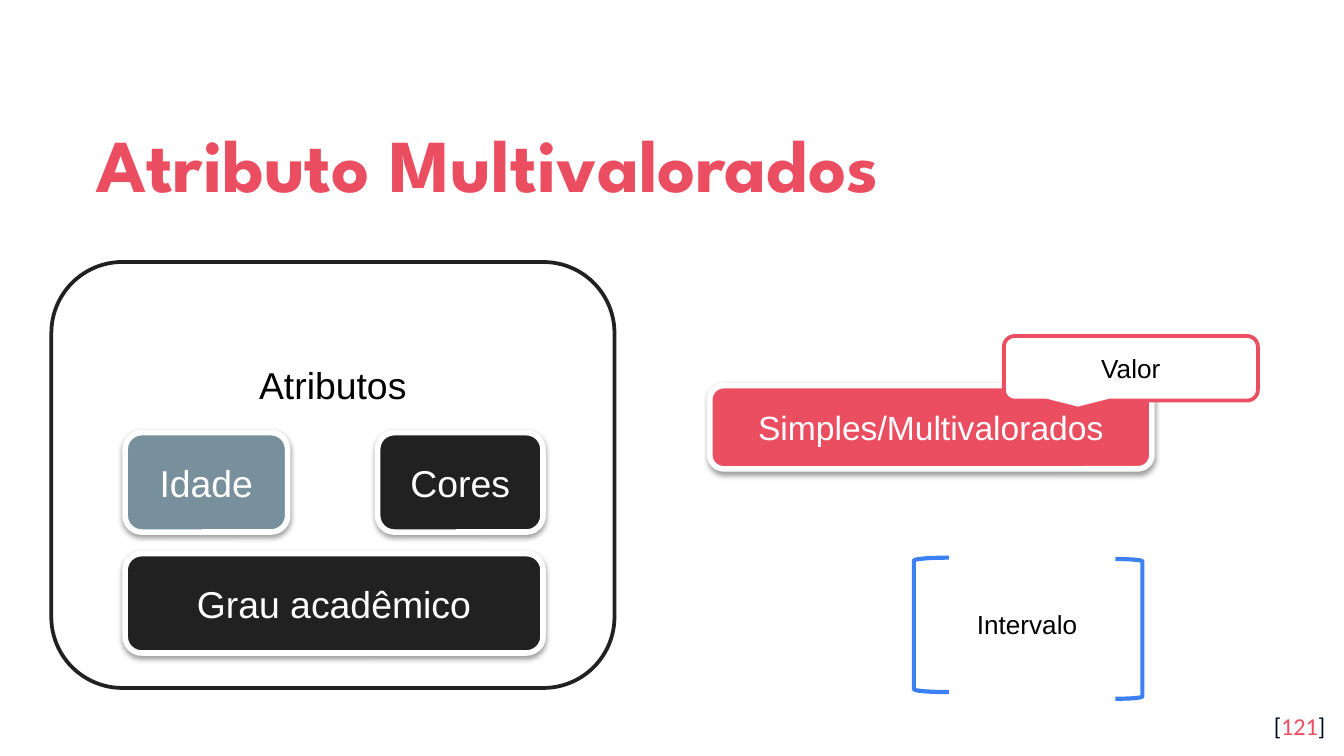
from lxml.etree import SubElement
from pptx import Presentation
from pptx.dml.color import RGBColor
from pptx.enum.shapes import MSO_SHAPE as Preset
from pptx.enum.text import MSO_ANCHOR as Anchor, PP_ALIGN as Align
from pptx.oxml.ns import qn
from pptx.util import Pt

WHITE = RGBColor(0xFF, 0xFF, 0xFF)
BLACK = RGBColor(0x00, 0x00, 0x00)
CHARCOAL = RGBColor(0x21, 0x21, 0x21)
CORAL = RGBColor(0xEA, 0x4E, 0x60)
SLATE = RGBColor(0x78, 0x90, 0x9C)
BLUE = RGBColor(0x3C, 0x81, 0xF3)
NAVY = RGBColor(0x04, 0x0A, 0x24)


def write(frame, *runs, size=14, font="Arial", color=BLACK, bold=False,
          align=Align.CENTER, anchor=Anchor.MIDDLE, spacing=1.0,
          insets=(7.2, 3.6, 7.2, 3.6)):
    frame.word_wrap = True
    frame.vertical_anchor = anchor
    (frame.margin_left, frame.margin_top,
     frame.margin_right, frame.margin_bottom) = map(Pt, insets)
    paragraph = frame.paragraphs[0]
    paragraph.alignment = align
    paragraph.line_spacing = spacing
    for item in runs:
        text, run_color = item if isinstance(item, tuple) else (item, color)
        run = paragraph.add_run()
        run.text = text
        run.font.name = font
        run.font.size = Pt(size)
        run.font.bold = bold
        run.font.color.rgb = run_color


class SlideBuilder:
    def __init__(self, slide):
        self.slide = slide

    def text(self, box, *runs, **style):
        shape = self.slide.shapes.add_textbox(*map(Pt, box))
        write(shape.text_frame, *runs, **style)
        return shape

    def shape(self, preset, box, line, width, fill=None):
        shape = self.slide.shapes.add_shape(preset, *map(Pt, box))
        shape.shadow.inherit = False
        if fill is None:
            shape.fill.background()
        else:
            shape.fill.solid()
            shape.fill.fore_color.rgb = fill
        shape.line.color.rgb = line
        shape.line.width = Pt(width)
        return shape

    def panel(self, box, line, text, preset=Preset.ROUNDED_RECTANGLE, **style):
        shape = self.shape(preset, box, line, 2, WHITE)
        write(shape.text_frame, text, **style)
        return shape

    def card(self, box, fill, text, size=20):
        shape = self.shape(Preset.ROUNDED_RECTANGLE, box, WHITE, 3, fill)
        effects = shape._element.spPr.find(qn("a:effectLst"))
        shadow = SubElement(effects, qn("a:outerShdw"), blurRad=str(Pt(3.1)),
                            dist=str(Pt(1.6)), dir="5400000", rotWithShape="0")
        color = SubElement(shadow, qn("a:srgbClr"), val="000000")
        SubElement(color, qn("a:alpha"), val="38000")
        write(shape.text_frame, text, size=size, color=WHITE)
        return shape

    def bracket(self, preset, box):
        return self.shape(preset, box, BLUE, 2.25)

    def group(self, *shapes):
        return self.slide.shapes.add_group_shape(shapes)


def main():
    presentation = Presentation()
    presentation.slide_width = Pt(720)
    presentation.slide_height = Pt(405)
    builder = SlideBuilder(presentation.slides.add_slide(presentation.slide_layouts[6]))

    wide_insets = (7.2,) * 4
    builder.text((44.6, 50.4, 631.4, 66.2), "Atributo Multivalorados", size=40,
                 font="League Spartan", color=CORAL, bold=True, align=Align.LEFT,
                 spacing=1.15, insets=wide_insets)
    builder.text((673.9, 373.7, 43.2, 31), ("[", NAVY), ("121", CORAL), ("]", NAVY),
                 size=13, font="Calibri", align=Align.RIGHT, anchor=Anchor.TOP,
                 insets=wide_insets)

    builder.panel((27.5, 140.4, 301.7, 228.2), CHARCOAL, "Atributos", size=20,
                  insets=(7.2, 3.6, 7.2, 100))
    builder.group(
        builder.card((380.2, 206.6, 236.9, 44.6), CORAL, "Simples/Multivalorados", size=18),
        builder.panel((537.8, 180, 136.1, 34.6), CORAL, "Valor",
                      preset=Preset.ROUNDED_RECTANGULAR_CALLOUT))

    left, right, height = 67, 290.9, 53.3
    for x, y, width, fill, text in (
            (left, 231.8, 87.1, SLATE, "Idade"),
            (right - 88.6, 231.8, 88.6, CHARCOAL, "Cores"),
            (left, 296.6, right - left, CHARCOAL, "Grau acadêmico")):
        builder.card((x, y, width, height), fill, text)

    builder.group(
        builder.bracket(Preset.LEFT_BRACKET, (489.6, 298.8, 18.7, 72)),
        builder.bracket(Preset.RIGHT_BRACKET, (597.6, 299.5, 14.4, 74.9)),
        builder.text((516.2, 322.6, 85, 25.2), "Intervalo", align=Align.LEFT,
                     anchor=Anchor.TOP))

    presentation.save("out.pptx")


if __name__ == "__main__":
    main()
